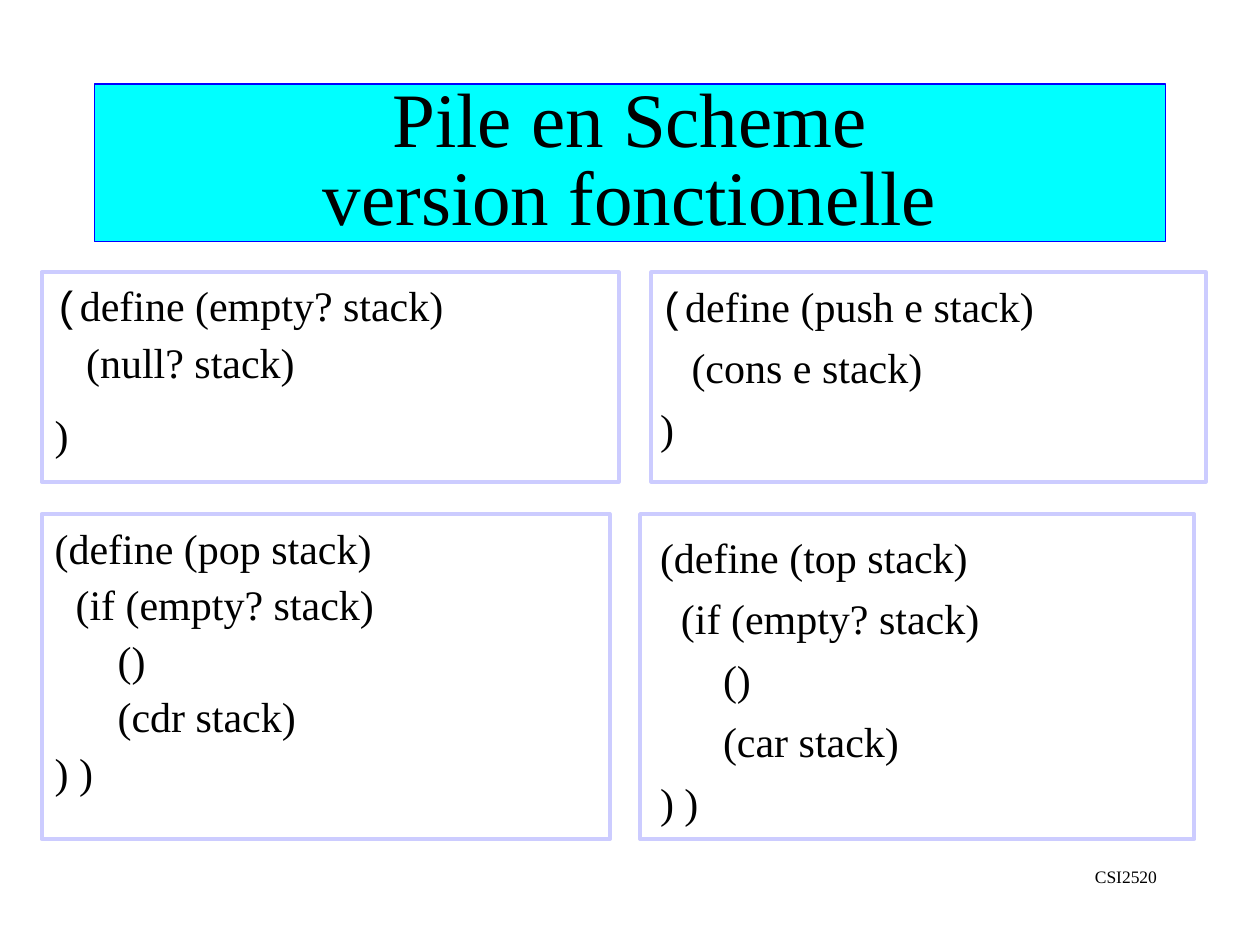
from pptx import Presentation
from pptx.util import Inches, Pt
from pptx.dml.color import RGBColor as RGB
from pptx.enum.shapes import MSO_SHAPE as Shape
from pptx.enum.text import MSO_ANCHOR as Anchor, PP_ALIGN as Align

HEX = {"ink": "000000", "title": "00FFFF", "edge": "0000FF", "frame": "CCCCFF"}
SERIF, MONO = "Times New Roman", "Courier New"
SPACE = 6  # width of one code space at 24 pt

deck = Presentation()
deck.slide_width, deck.slide_height = Inches(10), Inches(7.5)
slide = deck.slides.add_slide(deck.slide_layouts[6])
W, H = deck.slide_width / 100, deck.slide_height / 100  # one percent


def style(run, size, font=SERIF):
    run.font.size = Pt(size)
    run.font.name = font
    run.font.color.rgb = RGB.from_string(HEX["ink"])


def add_rect(x, y, w, h, line, width, fill=None):
    box = slide.shapes.add_shape(
        Shape.RECTANGLE, int(x * W), int(y * H), int(w * W), int(h * H))
    box.shadow.inherit = False
    if fill:
        box.fill.solid()
        box.fill.fore_color.rgb = RGB.from_string(HEX[fill])
    else:
        box.fill.background()
    box.line.color.rgb = RGB.from_string(HEX[line])
    box.line.width = Pt(width)
    return box


# Course code
foot = slide.shapes.add_textbox(int(72 * W), int(90.95 * H), int(20.8 * W), int(6.7 * H))
foot.text_frame.word_wrap = True
para = foot.text_frame.paragraphs[0]
para.text = "CSI2520"
para.alignment = Align.RIGHT
style(para.runs[0], 10)

# Code columns: each line is (indent in spaces, space before, text)
cols = [
    (3.35, 30, 46.7, 58.9, 0.8, [
        (0, 9, "(define (empty? stack)"), (3, 9, "(null? stack)"), (0, 18.5, ")"),
        (0, 42, "(define (pop stack)"), (2, 9, "(if (empty? stack)"),
        (6, 9, "()"), (6, 9, "(cdr stack)"), (0, 9, ") )")]),
    (51.4, 29.6, 48.6, 64.4, 0.9, [
        (0, 9, "(define (push e stack)"), (3, 9, "(cons e stack)"), (0, 9, ")"),
        (0, 48, "(define (top stack)"), (2, 9, "(if (empty? stack)"),
        (6, 9, "()"), (6, 9, "(car stack)"), (0, 9, ") )")]),
]
for x, y, w, h, pitch, lines in cols:
    frame = slide.shapes.add_textbox(int(x * W), int(y * H), int(w * W), int(h * H)).text_frame
    frame.word_wrap = True
    for i, (indent, gap, text) in enumerate(lines):
        para = frame.add_paragraph() if i else frame.paragraphs[0]
        # The opening bracket of each column is monospaced
        parts = [text] if i else [text[0], text[1:]]
        for part in parts:
            run = para.add_run()
            run.text = part
            style(run, 24, MONO if part == "(" else SERIF)
        para.line_spacing = pitch
        para.space_before = Pt(gap)
        para._p.get_or_add_pPr().set("marL", str(Pt(indent * SPACE)))

# Frames around the four functions
for x, y, w, h in [(3.3, 28.8, 45.8, 22.2), (3.3, 54.4, 45.1, 34.4),
                   (51.7, 28.8, 44, 22.2), (50.8, 54.4, 44, 34.4)]:
    add_rect(x, y, w, h, "frame", 2.25)

# Title, with tight lines so that both fit the box
title = add_rect(7.5, 8.9, 85, 16.7, "edge", 0.75, "title").text_frame
title.word_wrap = True
title.margin_top = title.margin_bottom = 0
title.vertical_anchor = Anchor.MIDDLE
para = title.paragraphs[0]
para.text = "Pile en Scheme\nversion fonctionelle"
para.alignment = Align.CENTER
para.line_spacing = 0.85
for run in para.runs:
    style(run, 44)

deck.save("out.pptx")
